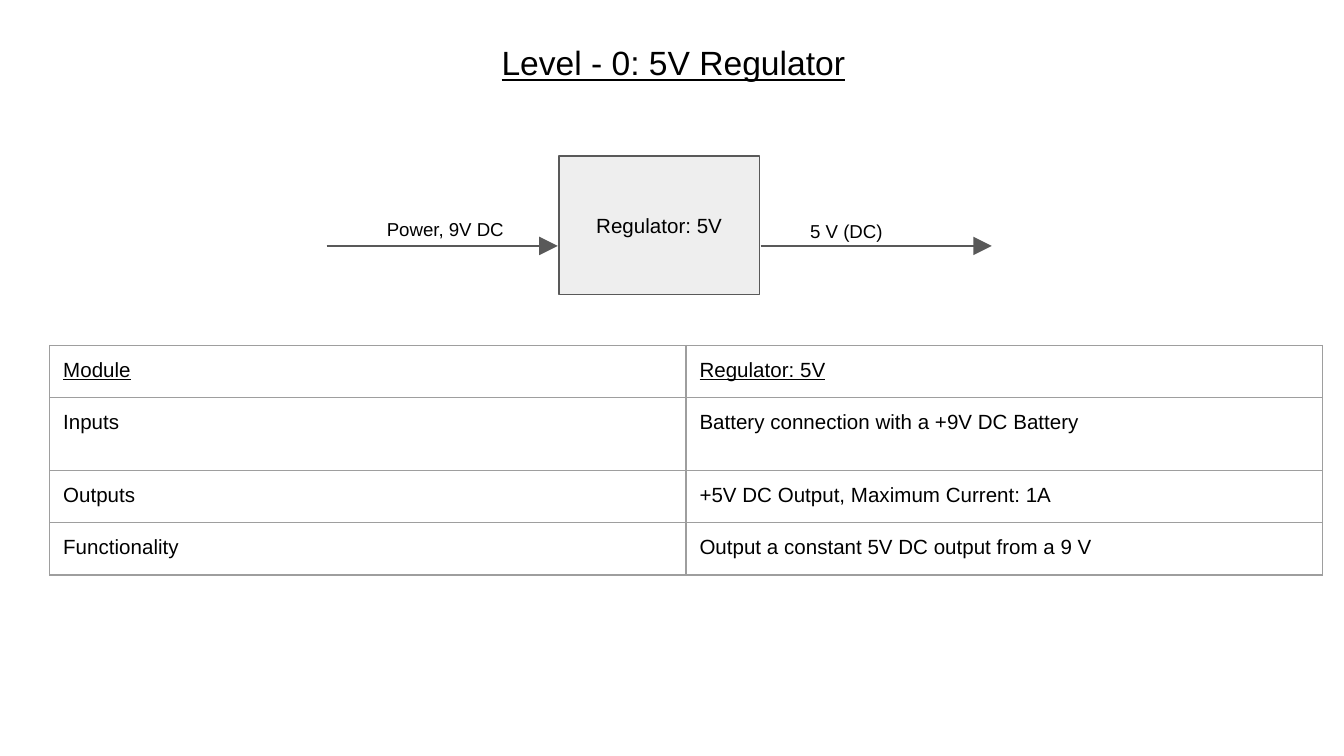
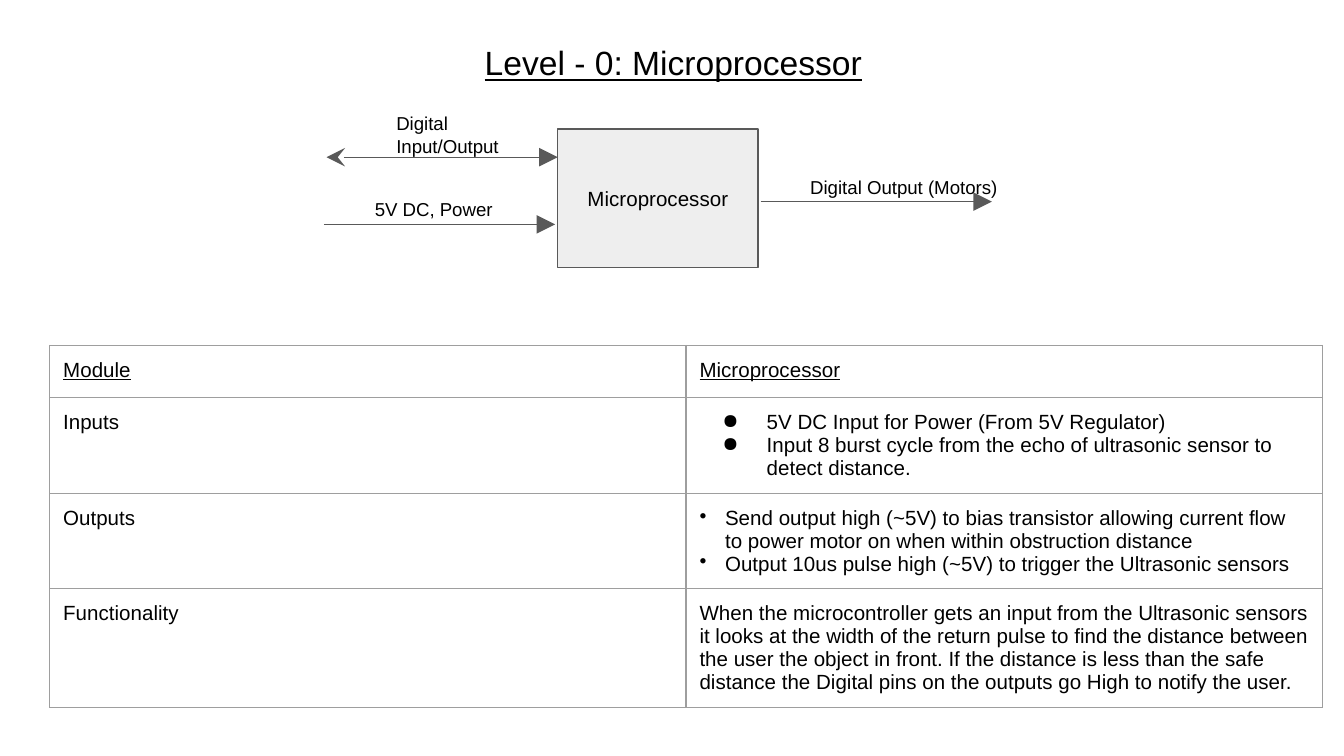
from lxml.etree import SubElement
from pptx import Presentation
from pptx.dml.color import RGBColor
from pptx.enum.shapes import MSO_CONNECTOR as Connector, MSO_SHAPE as Preset
from pptx.enum.text import MSO_ANCHOR as Anchor, MSO_AUTO_SIZE as AutoSize, PP_ALIGN as Align
from pptx.oxml.ns import qn
from pptx.util import Inches, Pt

COLORS = {"text": "000000", "block": "EEEEEE", "line": "595959", "border": "9E9E9E"}
FONT = "Arial"
INSET = 0.1
LINE_WIDTH = 0.75
BLOCK_SIZE = (1.49, 1.03)
ARROW_LENGTH = 1.72
ROW_HEIGHTS = (0.39, 0.54, 0.39, 0.39)
ROW_NAMES = ("Module", "Inputs", "Outputs", "Functionality")
DISC = ("●", 0.5, -0.33)
DOT = ("•", 0.19, -0.19)

REGULATOR = {
    "name": "Regulator: 5V",
    "title": "Level - 0: 5V Regulator",
    "block": (4.16, 1.16),
    "arrows": [(2.43, 1.83, False), (5.66, 1.83, False)],
    "labels": [("5 V (DC)", 5.93, 1.57, 1.35), ("Power, 9V DC", 2.78, 1.56, 1.18)],
    "table_height": 1.71,
    "details": [
        (["Battery connection with a +9V DC Battery"], None),
        (["+5V DC Output, Maximum Current: 1A"], None),
        (["Output a constant 5V DC output from a 9 V"], None),
    ],
}
MICROPROCESSOR = {
    "name": "Microprocessor",
    "title": "Level - 0: Microprocessor",
    "block": (4.15, 0.96),
    "arrows": [(2.43, 1.17, True), (2.41, 1.67, False), (5.66, 1.5, False)],
    "labels": [
        ("Digital Input/Output", 2.85, 0.77, 1.18),
        ("5V DC, Power", 2.69, 1.41, 1.35),
        ("Digital Output (Motors)", 5.93, 1.24, 1.61),
    ],
    "table_height": 2.82,
    "details": [
        (["5V DC Input for Power (From 5V Regulator)",
          "Input 8 burst cycle from the echo of ultrasonic sensor to detect distance."], DISC),
        (["Send output high (~5V) to bias transistor allowing current flow "
          "to power motor on when within obstruction distance",
          "Output 10us pulse high (~5V) to trigger the Ultrasonic sensors"], DOT),
        (["When the microcontroller gets an input from the Ultrasonic sensors it looks at "
          "the width of the return pulse to find the distance between the user the object "
          "in front. If the distance is less than the safe distance the Digital pins on "
          "the outputs go High to notify the user. "], None),
    ],
}


def rgb(role):
    return RGBColor.from_string(COLORS[role])


def set_insets(holder):
    for side in ("left", "top", "right", "bottom"):
        setattr(holder, f"margin_{side}", Inches(INSET))


def add_bullet(paragraph, bullet):
    mark, margin, indent = bullet
    properties = paragraph._p.get_or_add_pPr()
    properties.set("marL", str(Inches(margin)))
    properties.set("indent", str(Inches(indent)))
    SubElement(properties, qn("a:buChar"), char=mark)


def write(frame, lines, size, align=Align.LEFT, underline=False, bullet=None):
    frame.word_wrap = True
    for index, line in enumerate(lines):
        paragraph = frame.add_paragraph() if index else frame.paragraphs[0]
        paragraph.text = line
        paragraph.alignment = align
        if bullet:
            add_bullet(paragraph, bullet)
        for font in (paragraph.font, paragraph.runs[0].font):
            font.name, font.size, font.underline = FONT, Pt(size), underline
            font.color.rgb = rgb("text")
        SubElement(paragraph._p, qn("a:endParaRPr"), sz=str(size * 100))


def add_text(slide, text, left, top, width, height, size, anchor=Anchor.TOP, **style):
    frame = slide.shapes.add_textbox(*map(Inches, (left, top, width, height))).text_frame
    set_insets(frame)
    frame.auto_size = AutoSize.NONE
    frame.vertical_anchor = anchor
    write(frame, [text], size, **style)


def add_title(slide, text):
    add_text(slide, text, 0.35, 0.15, 9.32, 0.63, 18, Anchor.MIDDLE,
             align=Align.CENTER, underline=True)


def add_block(slide, text, left, top):
    block = slide.shapes.add_shape(Preset.RECTANGLE, *map(Inches, (left, top, *BLOCK_SIZE)))
    block.shadow.inherit = False
    block.fill.solid()
    block.fill.fore_color.rgb = rgb("block")
    block.line.color.rgb = rgb("line")
    block.line.width = Pt(LINE_WIDTH)
    set_insets(block.text_frame)
    block.text_frame.vertical_anchor = Anchor.MIDDLE
    write(block.text_frame, [text], 11, align=Align.CENTER)


def add_arrow(slide, left, top, two_way):
    ends = map(Inches, (left, top, left + ARROW_LENGTH, top))
    arrow = slide.shapes.add_connector(Connector.STRAIGHT, *ends)
    arrow.line.color.rgb = rgb("line")
    arrow.line.width = Pt(LINE_WIDTH)
    outline = arrow.line._get_or_add_ln()
    if two_way:
        SubElement(outline, qn("a:headEnd"), type="stealth", w="lg", len="lg")
    SubElement(outline, qn("a:tailEnd"), type="triangle", w="lg", len="lg")
    SubElement(arrow._element.spPr, qn("a:effectLst"))


def add_borders(cell):
    properties = cell._tc.get_or_add_tcPr()
    for side in ("lnL", "lnR", "lnT", "lnB"):
        border = SubElement(properties, qn(f"a:{side}"), w=str(Pt(LINE_WIDTH)))
        fill = SubElement(border, qn("a:solidFill"))
        SubElement(fill, qn("a:srgbClr"), val=COLORS["border"])


def add_module_table(slide, name, details, height):
    place = map(Inches, (0.37, 2.57, 9.47, height))
    holder = slide.shapes.add_table(len(ROW_NAMES), 2, *place)
    table = holder.table
    table.first_row = table.horz_banding = False
    contents = [([name], None), *details]
    for index, (label, (lines, bullet)) in enumerate(zip(ROW_NAMES, contents)):
        table.rows[index].height = Inches(ROW_HEIGHTS[index])
        for column, (texts, mark) in enumerate((([label], None), (lines, bullet))):
            cell = table.cell(index, column)
            set_insets(cell)
            add_borders(cell)
            cell.fill.background()
            write(cell.text_frame, texts, 11, underline=index == 0, bullet=mark)
    holder.height = Inches(height)


def add_module_slide(deck, module):
    slide = deck.slides.add_slide(deck.slide_layouts[6])
    add_title(slide, module["title"])
    add_block(slide, module["name"], *module["block"])
    for arrow in module["arrows"]:
        add_arrow(slide, *arrow)
    add_module_table(slide, module["name"], module["details"], module["table_height"])
    for text, left, top, width in module["labels"]:
        add_text(slide, text, left, top, width, 0.13, 10)


def main():
    """Build the level 0 slides of the regulator and the microprocessor."""
    deck = Presentation()
    deck.slide_width = Inches(10)
    deck.slide_height = deck.slide_width * 9 // 16
    for module in (REGULATOR, MICROPROCESSOR):
        add_module_slide(deck, module)
    deck.save("out.pptx")


main()
